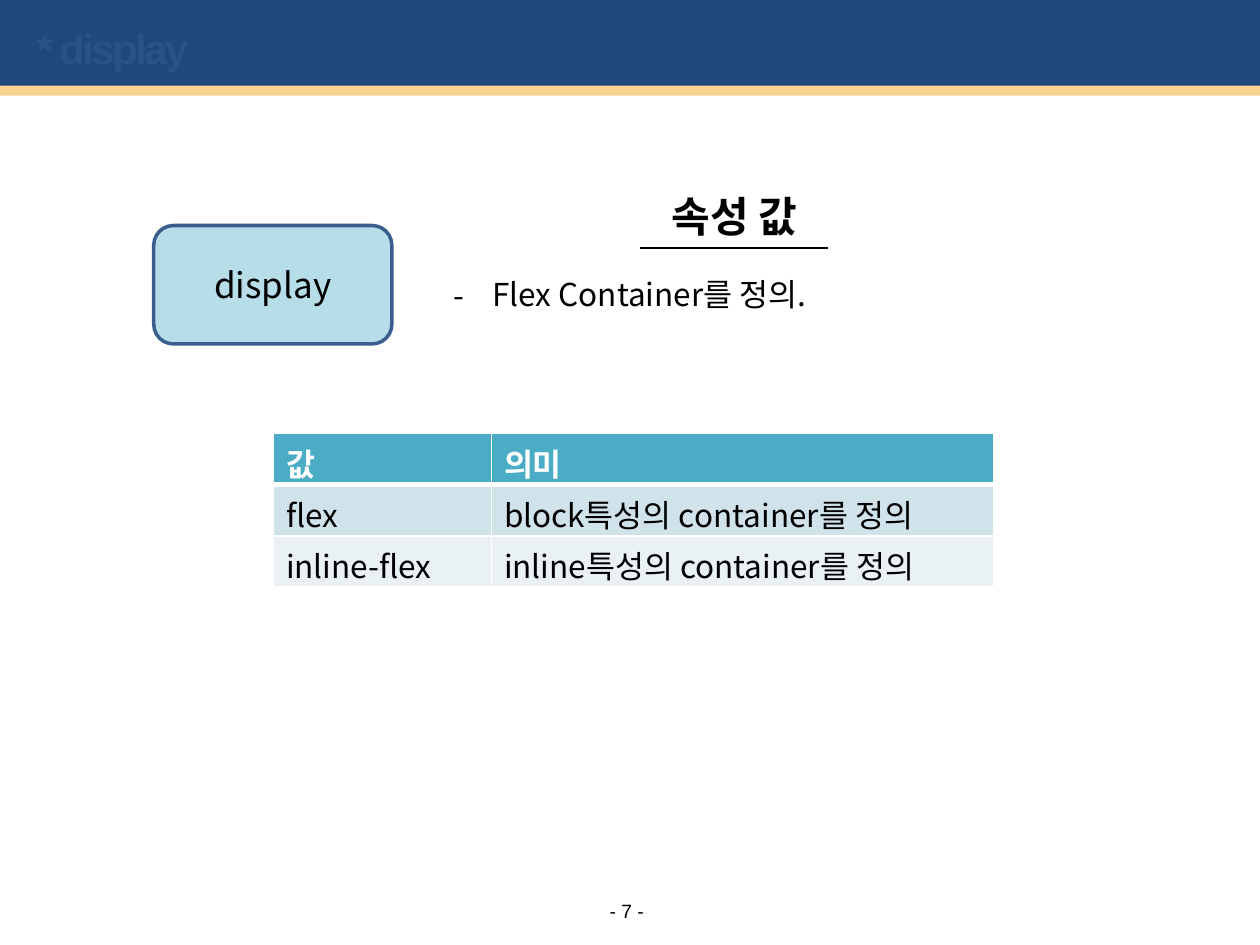
"""Build a slide that explains the values of the display property."""
from dataclasses import dataclass

from lxml.etree import SubElement
from pptx import Presentation
from pptx.dml.color import RGBColor
from pptx.enum.shapes import MSO_CONNECTOR, MSO_SHAPE
from pptx.enum.text import MSO_ANCHOR, PP_ALIGN
from pptx.oxml.ns import qn
from pptx.util import Inches, Pt

COLORS = {
    "navy": "1F497D", "sand": "F9D490", "ghost": "2B5285",
    "sky": "B7DEE8", "edge": "3A5F8C", "black": "000000", "white": "FFFFFF",
    "header": "4BACC6", "odd": "D0E3EA", "even": "E9F1F5",
}
BODY_FONT = "Noto Sans CJK KR"
WIDTH, HEIGHT = Inches(10), Inches(7.5)
COLUMNS, ROWS = 100, 75
TABLE_ROWS = (
    ("값", "의미"),
    ("flex", "block특성의 container를 정의"),
    ("inline-flex", "inline특성의 container를 정의"),
)


@dataclass(frozen=True)
class Area:
    """A rectangle in grid columns and rows."""
    column: float
    row: float
    columns: float
    rows: float

    def lengths(self) -> tuple[int, int, int, int]:
        """Return left, top, width and height."""
        return (across(self.column), down(self.row),
                across(self.columns), down(self.rows))


@dataclass(frozen=True)
class Style:
    """The look of a run and its paragraph."""
    size: float
    color: str = "black"
    bold: bool = False
    font: str = BODY_FONT
    align: PP_ALIGN = PP_ALIGN.LEFT


def across(columns: float) -> int:
    """Convert grid columns to a length."""
    return round(WIDTH * columns / COLUMNS)


def down(rows: float) -> int:
    """Convert grid rows to a length."""
    return round(HEIGHT * rows / ROWS)


def rgb(name: str) -> RGBColor:
    """Look up a colour."""
    return RGBColor.from_string(COLORS[name])


def write(frame, text: str, style: Style):
    """Write one run into the first paragraph and return the paragraph."""
    para = frame.paragraphs[0]
    para.alignment = style.align
    span = para.add_run()
    span.text = text
    span.font.size = Pt(style.size)
    span.font.bold = style.bold
    span.font.name = style.font
    span.font.color.rgb = rgb(style.color)
    east_asian = SubElement(span.font._element, qn("a:ea"))
    east_asian.set("typeface", style.font)
    return para


def add_block(page, kind: MSO_SHAPE, area: Area, fill: str, edge: str = ""):
    """Add a filled shape, with an outline if an edge colour is given."""
    block = page.shapes.add_shape(kind, *area.lengths())
    block.shadow.inherit = False
    block.fill.solid()
    block.fill.fore_color.rgb = rgb(fill)
    if edge:
        block.line.color.rgb = rgb(edge)
        block.line.width = Pt(2)
    else:
        block.line.fill.background()
    return block


def add_label(page, area: Area, text: str, style: Style):
    """Add a wrapping text box and return it."""
    box = page.shapes.add_textbox(*area.lengths())
    box.text_frame.word_wrap = True
    write(box.text_frame, text, style)
    return box


def add_dash(para, indent: float) -> None:
    """Give a paragraph a hanging dash bullet."""
    properties = para._p.get_or_add_pPr()
    properties.set("marL", str(across(indent)))
    properties.set("indent", str(-across(indent)))
    SubElement(properties, qn("a:buFont")).set("typeface", BODY_FONT)
    SubElement(properties, qn("a:buChar")).set("char", "-")


def add_rule(page, start: float, end: float, row: float) -> None:
    """Draw a horizontal black rule."""
    rule = page.shapes.add_connector(
        MSO_CONNECTOR.STRAIGHT, across(start), down(row), across(end), down(row))
    rule.line.color.rgb = rgb("black")
    rule.line.width = Pt(1.5)
    SubElement(rule._element.spPr, qn("a:effectLst"))


def fill_cell(cell, text: str, row: int) -> None:
    """Fill, border and write a cell according to its row."""
    properties = cell._tc.get_or_add_tcPr()
    widths = {"lnL": 1, "lnR": 1, "lnT": 3 if row == 1 else 1,
              "lnB": 3 if row == 0 else 1}
    for side, width in widths.items():
        line = SubElement(properties, qn(f"a:{side}"), w=str(Pt(width)))
        solid = SubElement(line, qn("a:solidFill"))
        SubElement(solid, qn("a:srgbClr"), val=COLORS["white"])
    cell.fill.solid()
    cell.fill.fore_color.rgb = rgb(("header", "odd", "even")[row])
    cell.margin_bottom = 0
    head = row == 0
    write(cell.text_frame, text, Style(18, "white" if head else "black", head))


def add_values(page, area: Area, column_widths: tuple[float, float]) -> None:
    """Add the table of values and meanings."""
    table = page.shapes.add_table(
        len(TABLE_ROWS), len(column_widths), *area.lengths()).table
    for column, width in zip(table.columns, column_widths):
        column.width = across(width)
    for row, texts in enumerate(TABLE_ROWS):
        for column, text in enumerate(texts):
            fill_cell(table.cell(row, column), text, row)


def format_title(title, behind) -> None:
    """Place the title over the band and write it in tight letters."""
    title.left, title.top, title.width, title.height = Area(1.9, 0.8, 90, 6).lengths()
    title.text_frame.vertical_anchor = MSO_ANCHOR.MIDDLE
    para = write(title.text_frame, "* display", Style(24, "ghost", True, "Arial"))
    para.runs[0].font._element.set("spc", "-150")
    behind._element.addnext(title._element)


def main() -> None:
    """Build and save the deck."""
    deck = Presentation()
    deck.slide_width, deck.slide_height = WIDTH, HEIGHT
    page = deck.slides.add_slide(deck.slide_layouts[5])
    centered = PP_ALIGN.CENTER

    add_block(page, MSO_SHAPE.RECTANGLE, Area(0, -0.3, COLUMNS, 7.6), "navy")
    stripe = add_block(page, MSO_SHAPE.RECTANGLE, Area(0, 6.8, COLUMNS, 0.8), "sand")
    format_title(page.shapes.title, stripe)

    number = add_label(page, Area(47.6, 71.3, 4.3, 1.9), "- 7 -",
                       Style(11, font="Arial", align=centered)).text_frame
    number.word_wrap = False
    number.vertical_anchor = MSO_ANCHOR.MIDDLE
    number.margin_left = number.margin_right = 0
    number.margin_top = number.margin_bottom = 0

    card = add_block(page, MSO_SHAPE.ROUNDED_RECTANGLE,
                     Area(12.2, 17.9, 18.9, 9.4), "sky", "edge")
    card.text_frame.vertical_anchor = MSO_ANCHOR.MIDDLE
    write(card.text_frame, "display", Style(20, align=centered))

    add_label(page, Area(39, 14.6, 38.6, 5), "속성 값",
              Style(24, bold=True, align=centered))
    meaning = add_label(page, Area(35, 21.3, 48.8, 4),
                        "Flex Container를 정의.", Style(18))
    add_dash(meaning.text_frame.paragraphs[0], 3.1)
    add_rule(page, 50.8, 65.7, 19.7)
    add_values(page, Area(21.7, 34.4, 57.2, 12.2), (17.3, 39.9))
    deck.save("out.pptx")


if __name__ == "__main__":
    main()
